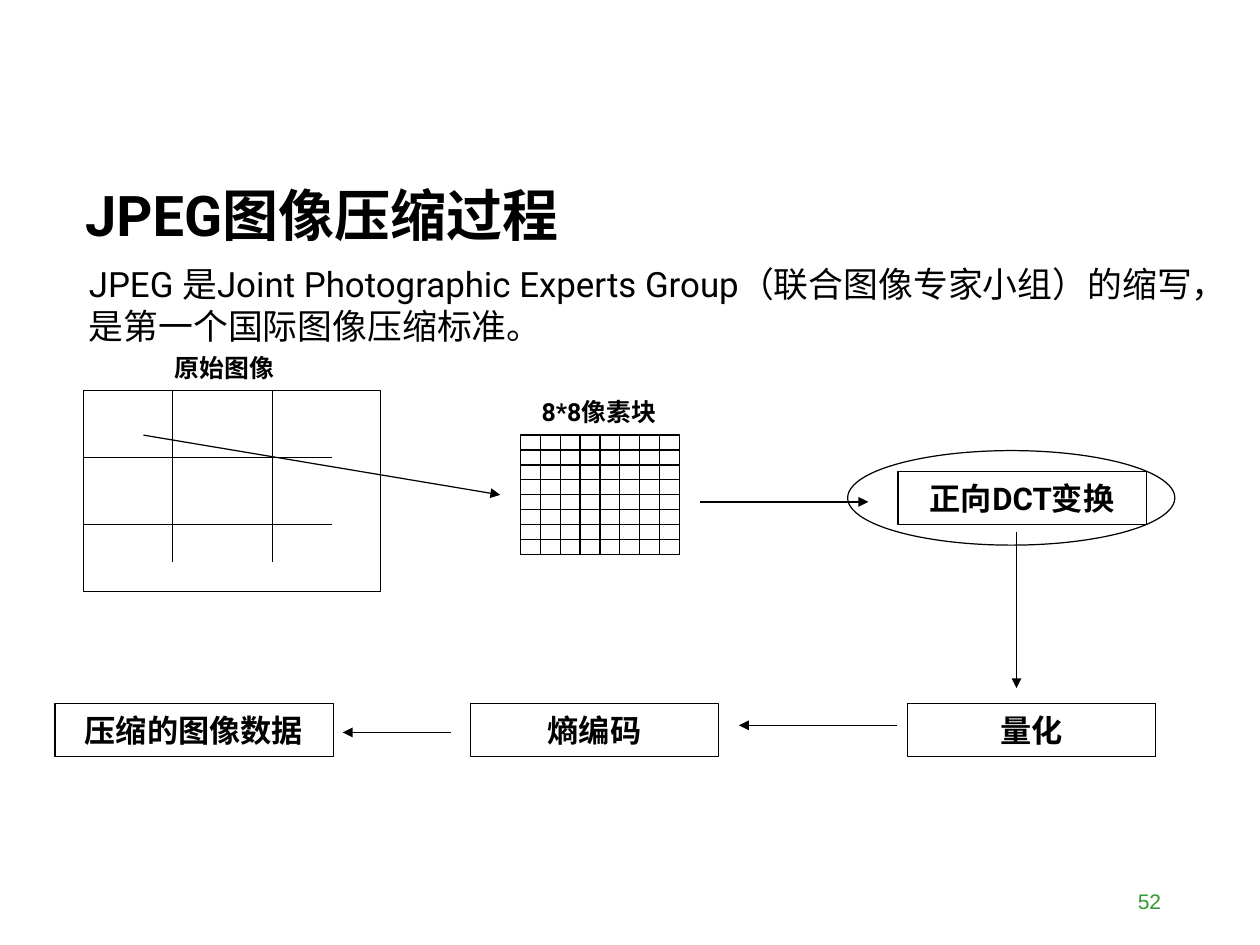
"""Build the slide on the JPEG image compression process."""
from lxml.etree import SubElement
from pptx import Presentation
from pptx.dml.color import RGBColor
from pptx.enum.lang import MSO_LANGUAGE_ID
from pptx.enum.shapes import MSO_CONNECTOR, MSO_SHAPE
from pptx.enum.text import MSO_ANCHOR, MSO_AUTO_SIZE, PP_ALIGN
from pptx.oxml.ns import qn
from pptx.util import Cm, Pt

COLORS = {"ink": "000000", "paper": "FFFFFF", "number": "339933"}
SLIDE_SIZE = (26.8, 20.09)
LINE_WIDTH = Pt(0.75)

TITLE = ("JPEG图像压缩过程", (1.57, 3.71, 15.67, 1.68))
TEXTS = [
    ("JPEG 是Joint Photographic Experts Group（联合图像专家小组）的缩写，是第一个国际图像压缩标准。",
     (1.65, 5.46, 24.03, 2.03), "body"),
    ("原始图像", (3.48, 7.37, 4.5, 0.89), "label"),
    ("8*8像素块", (11.28, 8.31, 4.5, 0.89), "label"),
    ("52", (18.92, 18.62, 6.02, 1.07), "number"),
]
STEPS = [
    ("正向DCT变换", (19.1, 10.03, 5.28, 1.12)),
    ("量化", (19.3, 14.96, 5.28, 1.12)),
    ("熵编码", (10.01, 14.96, 5.28, 1.12)),
    ("压缩的图像数据", (1.17, 14.96, 5.92, 1.12)),
]
ARROWS = [
    (3.05, 9.25, 10.64, 10.52),
    (14.88, 10.67, 18.47, 10.67),
    (21.62, 11.3, 21.62, 14.63),
    (19.08, 15.42, 15.72, 15.42),
    (9.6, 15.57, 7.29, 15.57),
]
SOURCE_IMAGE = (1.78, 8.31, 6.32, 4.27)
ROW_LINES, ROW_LINE_LENGTH = (1 / 3, 2 / 3), 5.28
COLUMN_LINES, COLUMN_LINE_LENGTH = (0.3, 0.635), 3.63
PIXEL_BLOCK = (11.07, 9.25, 3.38, 2.54)
PIXELS_PER_SIDE = 8
DCT_ELLIPSE = (18.03, 9.58, 6.96, 2.01)

STYLES = {
    "title": {"name": "Roboto", "size": Pt(33.8), "bold": True},
    "body": {"name": "Roboto", "size": Pt(21), "bold": False},
    "label": {"name": "Roboto", "size": Pt(15), "bold": True},
    "step": {"name": "Roboto", "size": Pt(18.8), "bold": True},
    "number": {"name": "Arial", "size": Pt(12.7), "bold": False},
}
FRAMES = {
    "step": {"vertical_anchor": MSO_ANCHOR.MIDDLE, "word_wrap": False},
    "number": {"vertical_anchor": MSO_ANCHOR.MIDDLE, "word_wrap": True},
}
TOP_FRAME = {"vertical_anchor": MSO_ANCHOR.TOP, "word_wrap": True}
ALIGNMENTS = {"step": PP_ALIGN.CENTER, "number": PP_ALIGN.RIGHT}


def color(name):
    return RGBColor.from_string(COLORS[name])


def write(shape, text, style):
    frame = shape.text_frame
    frame.text = text
    frame_format = {
        "auto_size": MSO_AUTO_SIZE.NONE,
        "margin_left": Cm(0.24), "margin_right": Cm(0.24),
        "margin_top": Cm(0.12), "margin_bottom": Cm(0.12),
    } | FRAMES.get(style, TOP_FRAME)
    for attribute, value in frame_format.items():
        setattr(frame, attribute, value)
    paragraph = frame.paragraphs[0]
    paragraph.alignment = ALIGNMENTS.get(style, PP_ALIGN.LEFT)
    font = paragraph.runs[0].font
    for attribute, value in STYLES[style].items():
        setattr(font, attribute, value)
    font.language_id = MSO_LANGUAGE_ID.SIMPLIFIED_CHINESE
    font.color.rgb = color("number" if style == "number" else "ink")


def add_outline(shapes, kind, box, filled=True):
    shape = shapes.add_shape(kind, *map(Cm, box))
    shape.shadow.inherit = False
    if filled:
        shape.fill.solid()
        shape.fill.fore_color.rgb = color("paper")
    else:
        shape.fill.background()
    shape.line.color.rgb = color("ink")
    shape.line.width = LINE_WIDTH
    return shape


def add_line(shapes, ends, arrow=False):
    connector = shapes.add_connector(MSO_CONNECTOR.STRAIGHT, *map(Cm, ends))
    connector.line.color.rgb = color("ink")
    connector.line.width = LINE_WIDTH
    if arrow:
        SubElement(connector.line._get_or_add_ln(), qn("a:tailEnd"), type="triangle")
    SubElement(connector._element.spPr, qn("a:effectLst"))


def add_source_image(shapes):
    left, top, width, height = SOURCE_IMAGE
    add_outline(shapes, MSO_SHAPE.RECTANGLE, SOURCE_IMAGE)
    for share in ROW_LINES:
        y = top + share * height
        add_line(shapes, (left, y, left + ROW_LINE_LENGTH, y))
    for share in COLUMN_LINES:
        x = left + share * width
        add_line(shapes, (x, top, x, top + COLUMN_LINE_LENGTH))


def add_pixel_block(shapes):
    left, top, width, height = PIXEL_BLOCK
    cell_width, cell_height = width / PIXELS_PER_SIDE, height / PIXELS_PER_SIDE
    group = shapes.add_group_shape()
    for row in range(PIXELS_PER_SIDE):
        for column in range(PIXELS_PER_SIDE):
            cell = (left + column * cell_width, top + row * cell_height, cell_width, cell_height)
            add_outline(group.shapes, MSO_SHAPE.RECTANGLE, cell)


def main():
    presentation = Presentation()
    presentation.slide_width, presentation.slide_height = map(Cm, SLIDE_SIZE)
    slide = presentation.slides.add_slide(presentation.slide_layouts[5])
    shapes = slide.shapes

    title_text, title_box = TITLE
    title = shapes.title
    title.left, title.top, title.width, title.height = map(Cm, title_box)
    write(title, title_text, "title")

    add_source_image(shapes)
    add_pixel_block(shapes)
    for text, box in STEPS:
        write(add_outline(shapes, MSO_SHAPE.RECTANGLE, box), text, "step")
    add_outline(shapes, MSO_SHAPE.OVAL, DCT_ELLIPSE, filled=False)
    for ends in ARROWS:
        add_line(shapes, ends, arrow=True)
    for text, box, style in TEXTS:
        write(shapes.add_textbox(*map(Cm, box)), text, style)

    presentation.save("out.pptx")


if __name__ == "__main__":
    main()
